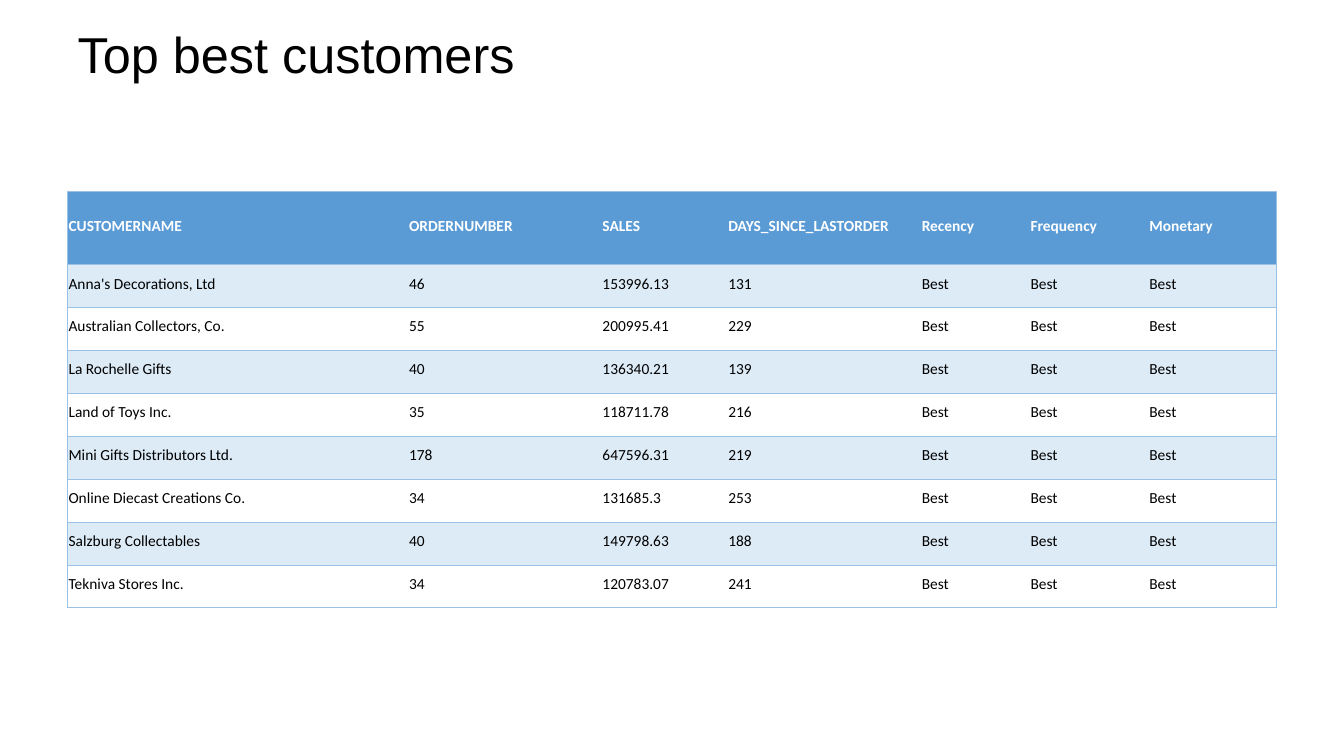
from lxml import etree
from pptx import Presentation
from pptx.dml.color import RGBColor
from pptx.enum.text import MSO_ANCHOR, PP_ALIGN
from pptx.oxml.ns import qn
from pptx.util import Inches, Pt

MIDDLE, LEFT = MSO_ANCHOR.MIDDLE, PP_ALIGN.LEFT
WIDE, HIGH = 13.33, 7.5
EDGE = 0.67
PLAIN = "{2D5ABB26-0587-4C30-8999-92F81FD0307C}"  # table style with no grid

BLACK, WHITE = "000000", "FFFFFF"
BLUE, PALE, RULE = "5B9BD5", "DDEBF7", "9BC2E6"

COLS = [3.38, 1.92, 1.25, 1.92, 1.08, 1.18, 1.27]
HEAD = ["CUSTOMERNAME", "ORDERNUMBER", "SALES", "DAYS_SINCE_LASTORDER",
        "Recency", "Frequency", "Monetary"]
BUYERS = [
    ("Anna's Decorations, Ltd", "46", "153996.13", "131"),
    ("Australian Collectors, Co.", "55", "200995.41", "229"),
    ("La Rochelle Gifts", "40", "136340.21", "139"),
    ("Land of Toys Inc.", "35", "118711.78", "216"),
    ("Mini Gifts Distributors Ltd.", "178", "647596.31", "219"),
    ("Online Diecast Creations Co.", "34", "131685.3", "253"),
    ("Salzburg Collectables", "40", "149798.63", "188"),
    ("Tekniva Stores Inc.", "34", "120783.07", "241"),
]


def color(code):
    return RGBColor.from_string(code)


def write(frame, text, size=11, font="Calibri", ink=BLACK, bold=False):
    """Put one formatted line of text in a frame."""
    para = frame.paragraphs[0]
    para.alignment = LEFT
    run = para.add_run()
    run.text = text
    run.font.size, run.font.name, run.font.bold = Pt(size), font, bold
    run.font.color.rgb = color(ink)


def edge(cell, sides):
    """Draw thin rules on the given sides, in the order L, R, T, B."""
    props = cell._tc.get_or_add_tcPr()
    for side in sides:
        line = etree.SubElement(props, qn("a:ln" + side), w=str(Pt(0.5)))
        fill = etree.SubElement(line, qn("a:solidFill"))
        etree.SubElement(fill, qn("a:srgbClr"), val=RULE)


def add_title(slide, text, left, top, width, height):
    title = slide.shapes.title
    title.left, title.top = Inches(left), Inches(top)
    title.width, title.height = Inches(width), Inches(height)
    title.text_frame.vertical_anchor = MIDDLE
    write(title.text_frame, text, size=36, font="Arial")


def add_grid(slide, rows, left, top, width, height):
    frame = slide.shapes.add_table(
        len(rows), len(COLS), Inches(left), Inches(top),
        Inches(width), Inches(height))
    table = frame.table
    table._tbl.tblPr.find(qn("a:tableStyleId")).text = PLAIN
    table.horz_banding = False

    # The header takes what the equal body rows leave
    body = 0.426
    for col, share in zip(table.columns, COLS):
        col.width = Inches(width * share / sum(COLS))
    for i, row in enumerate(table.rows):
        row.height = Inches(body if i else height - body * (len(rows) - 1))

    # Cells: blue header, then bands that start pale
    for i, row in enumerate(rows):
        for j, text in enumerate(row):
            cell = table.cell(i, j)
            cell.vertical_anchor = MIDDLE
            cell.margin_left = cell.margin_right = Inches(0.01)
            cell.margin_top, cell.margin_bottom = Inches(0.01), Inches(0.05)
            ends = "L" if j == 0 else "R" if j == len(COLS) - 1 else ""
            edge(cell, ends + "TB")
            if i % 2 or i == 0:
                cell.fill.solid()
                cell.fill.fore_color.rgb = color(PALE if i else BLUE)
            else:
                cell.fill.background()
            write(cell.text_frame, text, ink=BLACK if i else WHITE,
                  bold=i == 0)


def main():
    deck = Presentation()
    deck.slide_width, deck.slide_height = Inches(WIDE), Inches(HIGH)
    slide = deck.slides.add_slide(deck.slide_layouts[5])
    span = WIDE - 2 * EDGE
    add_title(slide, "Top best customers", EDGE, 0.21, span, 0.64)
    rows = [HEAD] + [[*buyer, *["Best"] * 3] for buyer in BUYERS]
    add_grid(slide, rows, EDGE, 1.9, span, 4.13)
    deck.save("out.pptx")


if __name__ == "__main__":
    main()
